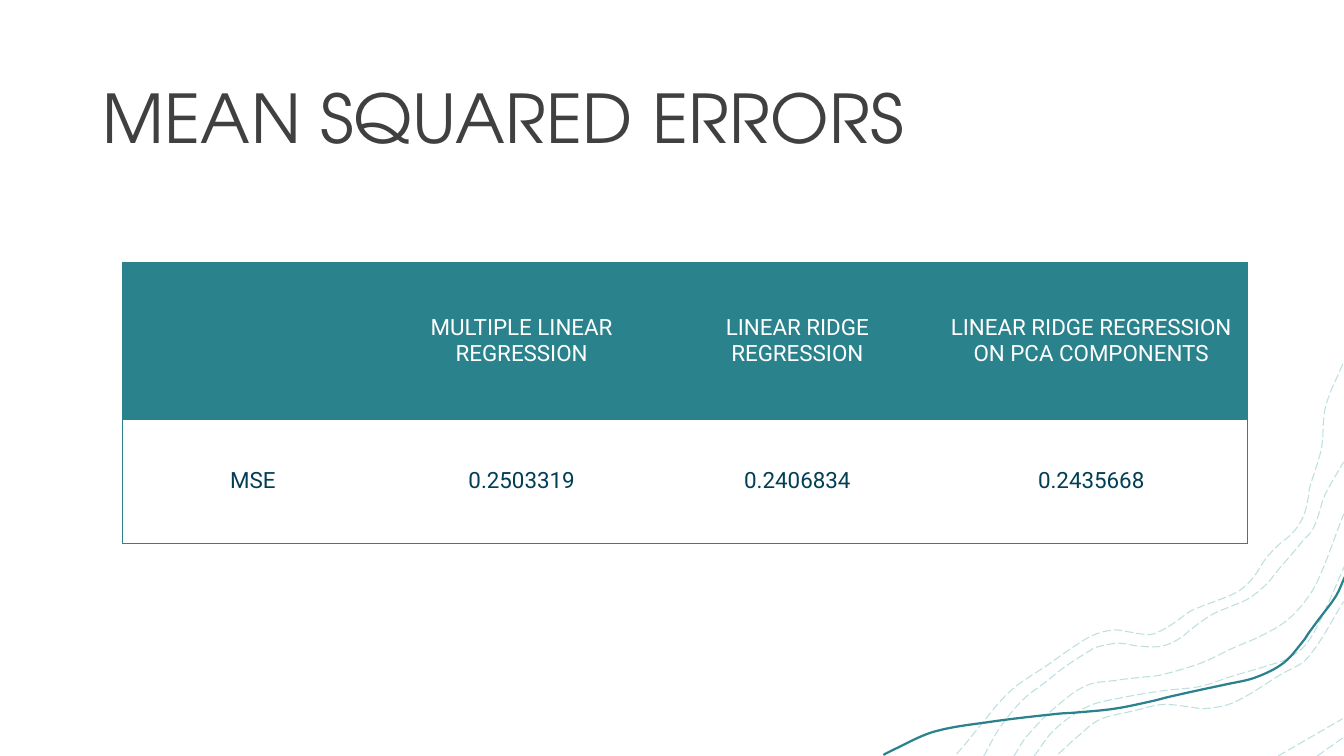
"""Build a slide comparing mean squared errors in a table, with contour lines in the corner."""

from dataclasses import dataclass
from typing import Optional

from pptx import Presentation
from pptx.dml.color import RGBColor
from pptx.enum.dml import MSO_LINE_DASH_STYLE as Dash
from pptx.enum.text import MSO_ANCHOR as Anchor, PP_ALIGN as Align
from pptx.oxml.ns import qn
from pptx.util import Pt
from lxml.etree import SubElement

Point = tuple[float, float]

TEAL = "2A828C"
PALE_TEAL = "41A6A6"
NAVY = "023E56"
WHITE = "FFFFFF"
GREY = "404040"
TITLE_FONT = "TeX Gyre Adventor"
BODY_FONT = "Roboto"
RIBBON_HALF_WIDTH = 0.8


@dataclass
class Contour:
    points: list[Point]


@dataclass
class TableRow:
    height: float
    texts: list[str]
    text_color: str
    fill: Optional[str] = None


CONTOURS = [
    Contour([
        (683.3, 538.6), (689, 532.1), (704.2, 513.4), (715, 500.4), (726.5, 489.6),
        (748.1, 475.2), (765.4, 463), (781.2, 453.6), (795.6, 450), (806.4, 451.4),
        (815.8, 452.9), (823.7, 452.9), (836.6, 446.4), (849.6, 437), (853.9, 434.9),
        (869, 429.1), (878.4, 425.5), (886.3, 421.2), (893.5, 414.7), (897.8, 409),
        (904.3, 398.9), (913, 389.5), (920.9, 383), (926.6, 376.6), (931.7, 367.2),
        (934.6, 355), (935.3, 349.2), (943.9, 320.4), (946.8, 290.9), (959.8, 258.5),
    ]),
    Contour([
        (702.7, 540), (714.2, 519.8), (730.8, 499.7), (746.6, 487.4), (760.3, 476.6),
        (779, 464.4), (783.4, 462.2), (799.2, 459.4), (812.9, 461.5), (830.2, 461.5),
        (843.1, 455.8), (851, 449.3), (865.4, 439.2), (882, 432), (892.8, 427),
        (905, 416.9), (914.4, 405.4), (923.8, 394.6), (931, 385.9), (937.4, 378.7),
        (941.8, 367.9), (946.1, 354.2), (959.8, 329.8),
    ]),
    Contour([(941, 540), (961.2, 525.6)]),
    Contour([(913, 540), (959, 513.4)]),
    Contour([
        (756, 538.6), (770.4, 525.6), (785.5, 514.1), (810.7, 507.6), (830.2, 503.3),
        (848.2, 504.7), (860.4, 506.2), (881.3, 501.8), (915.1, 481.7), (933.8, 470.2),
        (959.8, 429.8),
    ]),
    Contour([
        (738.7, 540), (753.1, 521.3), (776.9, 504.7), (802.1, 498.2), (832.3, 493.2),
        (857.5, 490.3), (879.8, 483.1), (906.5, 475.2), (920.2, 470.2), (932.4, 460.8),
        (943.2, 442.8), (961.2, 402.5),
    ]),
    Contour([
        (724.3, 540), (733.7, 525.6), (755.3, 504), (776.2, 489.6), (797, 486),
        (815, 483.8), (828, 482.4), (857.5, 473.8), (880.6, 463), (900.7, 454.3),
        (918, 444.2), (930.2, 432), (941, 415.4), (959.8, 367.2),
    ]),
]

RIBBON_CENTER = [
    (631, 539.2), (638, 535.6), (667, 522.7), (708.2, 515.5), (756, 509.8),
    (768.2, 509), (796.3, 506.2), (824.8, 500.4), (832.7, 498.3), (858.6, 492.5),
    (875.5, 488.9), (896.8, 483.9), (917, 473.4), (932, 456.5), (934.2, 453),
    (941.4, 443.2), (954.4, 425.5), (960.5, 412.2),
]

COLUMN_WIDTHS = [186.6, 197.3, 196.6, 223.2]
TABLE_ROWS = [
    TableRow(111.9, ["", "MULTIPLE LINEAR REGRESSION", "LINEAR RIDGE REGRESSION",
                     "LINEAR RIDGE REGRESSION ON PCA COMPONENTS"], WHITE, TEAL),
    TableRow(88.6, ["MSE", "0.2503319", "0.2406834", "0.2435668"], NAVY),
]


def color(hex_code: str) -> RGBColor:
    return RGBColor.from_string(hex_code)


def find_directions(knots: list[complex]) -> list[complex]:
    padded = [knots[0], *knots, knots[-1]]
    spans = [after - before for before, after in zip(padded, padded[2:])]
    return [span / abs(span) for span in spans]


def find_handles(points: list[Point]) -> list[list[complex]]:
    knots = [complex(x, y) for x, y in points]
    directions = find_directions(knots)
    handles = []
    for index, (start, end) in enumerate(zip(knots, knots[1:])):
        reach = abs(end - start) / 3
        handles.append([start + directions[index] * reach,
                        end - directions[index + 1] * reach])
    return handles


def bend_segments(shape, first: int, handles: list[list[complex]]) -> None:
    lines = shape._element.findall(".//" + qn("a:lnTo"))
    for line, pair in zip(lines[first:], handles):
        curve = line.getparent().makeelement(qn("a:cubicBezTo"), {})
        for handle in pair:
            SubElement(curve, qn("a:pt"), x=str(Pt(handle.real) - shape.left),
                       y=str(Pt(handle.imag) - shape.top))
        curve.append(line[0])
        line.getparent().replace(line, curve)


def add_outline(slide, points: list[Point], closed: bool):
    corners = [(Pt(x), Pt(y)) for x, y in points]
    builder = slide.shapes.build_freeform(*corners[0])
    builder.add_line_segments(corners[1:], close=closed)
    shape = builder.convert_to_shape()
    shape.shadow.inherit = False
    return shape


def add_contour(slide, contour: Contour) -> None:
    shape = add_outline(slide, contour.points, closed=False)
    bend_segments(shape, 0, find_handles(contour.points))
    shape.fill.background()
    shape.line.width = Pt(0.75)
    shape.line.dash_style = Dash.LONG_DASH
    shape.line.color.rgb = color(PALE_TEAL)
    line_color = shape.line._ln.find(qn("a:solidFill"))[0]
    SubElement(line_color, qn("a:alpha"), val="35000")


def add_ribbon(slide, center: list[Point]) -> None:
    knots = [complex(x, y) for x, y in center]
    offsets = [direction * 1j * RIBBON_HALF_WIDTH for direction in find_directions(knots)]
    lower = [knot + offset for knot, offset in zip(knots, offsets)]
    upper = [knot - offset for knot, offset in zip(knots, offsets)]
    edges = [[(spot.real, spot.imag) for spot in edge] for edge in (lower, upper[::-1])]
    shape = add_outline(slide, edges[0] + edges[1], closed=True)
    bend_segments(shape, len(center), find_handles(edges[1]))
    bend_segments(shape, 0, find_handles(edges[0]))
    shape.fill.solid()
    shape.fill.fore_color.rgb = color(TEAL)
    shape.line.fill.background()


def add_title(slide, text: str) -> None:
    box = slide.shapes.add_textbox(Pt(66.2), Pt(34.6), Pt(864), Pt(104.4))
    frame = box.text_frame
    frame.word_wrap = True
    frame.vertical_anchor = Anchor.MIDDLE
    frame.text = text
    paragraph = frame.paragraphs[0]
    paragraph.line_spacing = 0.9
    font = paragraph.runs[0].font
    font.name, font.size = TITLE_FONT, Pt(48)
    font.color.rgb = color(GREY)
    font._rPr.set("spc", "30")


def add_borders(cell, visible_sides: dict[str, bool]) -> None:
    properties = cell._tc.get_or_add_tcPr()
    for side, visible in visible_sides.items():
        border = SubElement(properties, qn(f"a:ln{side}"), w=str(Pt(0.5)))
        if visible:
            fill = SubElement(border, qn("a:solidFill"))
            SubElement(fill, qn("a:srgbClr"), val=TEAL)
        else:
            SubElement(border, qn("a:noFill"))


def fill_cell(cell, text: str, row: TableRow) -> None:
    cell.text_frame.text = text
    cell.vertical_anchor = Anchor.MIDDLE
    if row.fill:
        cell.fill.solid()
        cell.fill.fore_color.rgb = color(row.fill)
    else:
        cell.fill.background()
    paragraph = cell.text_frame.paragraphs[0]
    paragraph.alignment = Align.CENTER
    for run in paragraph.runs:
        run.font.name, run.font.size, run.font.bold = BODY_FONT, Pt(16), False
        run.font.color.rgb = color(row.text_color)


def add_error_table(slide, rows: list[TableRow]) -> None:
    height = sum(row.height for row in rows)
    frame = slide.shapes.add_table(len(rows), len(COLUMN_WIDTHS), Pt(87.4), Pt(187.3),
                                   Pt(sum(COLUMN_WIDTHS)), Pt(height))
    table = frame.table
    table.horz_banding = False
    for column, width in zip(table.columns, COLUMN_WIDTHS):
        column.width = Pt(width)
    for row_index, row in enumerate(rows):
        table.rows[row_index].height = Pt(row.height)
        for column_index, text in enumerate(row.texts):
            cell = table.cell(row_index, column_index)
            add_borders(cell, {"L": column_index == 0, "R": column_index == len(row.texts) - 1,
                               "T": True, "B": True})
            fill_cell(cell, text, row)


def main() -> None:
    presentation = Presentation()
    presentation.slide_width, presentation.slide_height = Pt(960), Pt(540)
    slide = presentation.slides.add_slide(presentation.slide_layouts[6])
    for contour in CONTOURS:
        add_contour(slide, contour)
    add_ribbon(slide, RIBBON_CENTER)
    add_title(slide, "MEAN SQUARED ERRORS")
    add_error_table(slide, TABLE_ROWS)
    presentation.save("out.pptx")


if __name__ == "__main__":
    main()
